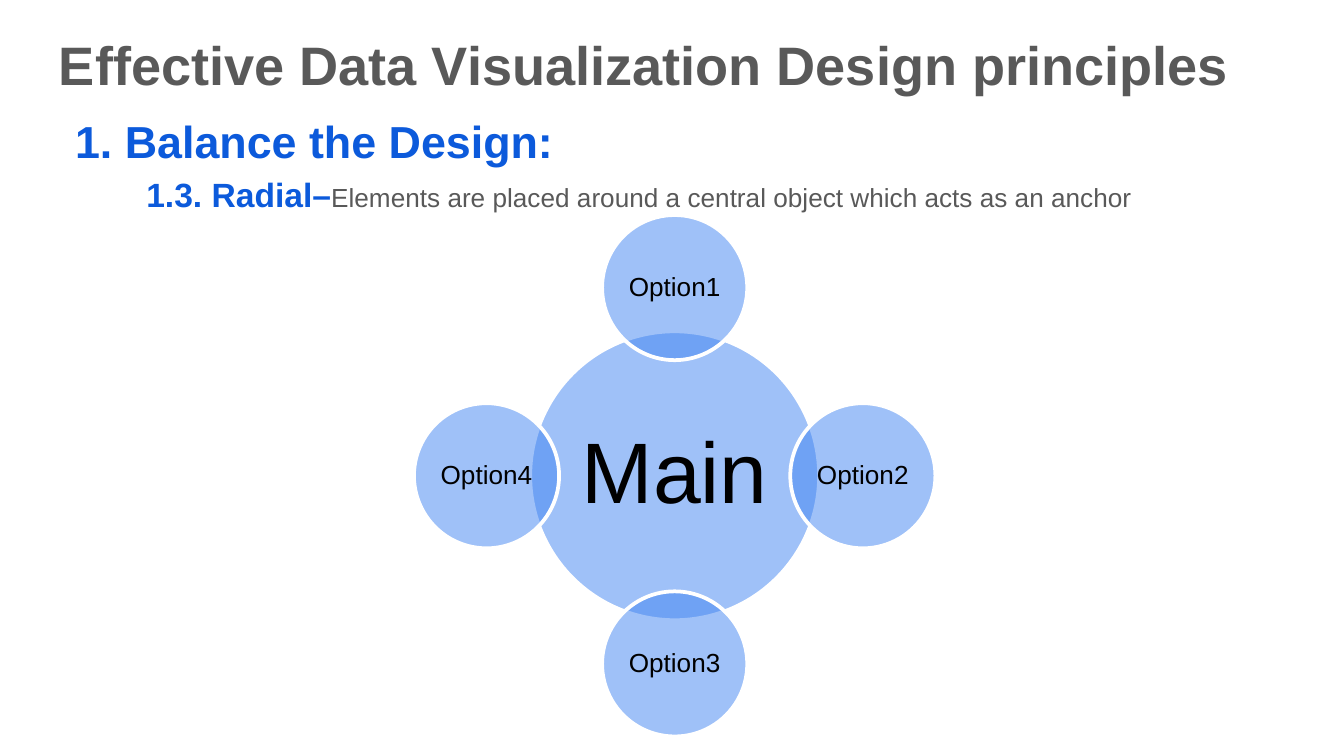
"""Build a slide that explains radial balance with circles around a centre."""
import dataclasses
import math

import pptx
import pptx.dml.color
import pptx.enum.shapes
import pptx.enum.text
import pptx.oxml
import pptx.oxml.ns
import pptx.shapes.group
import pptx.slide
import pptx.util

Inches = pptx.util.Inches
COLORS = {"grey": "595959", "blue": "0C5ADB", "circle": "4185F2", "white": "FFFFFF", "black": "000000"}
SLIDE_WIDTH = 10
SLIDE_HEIGHT = SLIDE_WIDTH * 9 / 16
CENTER_X, CENTER_Y = 5.02, 3.54
ORBIT = 1.4
OPTION_COUNT = 4


@dataclasses.dataclass
class TextRun:
    text: str
    size: float
    color: str
    bold: bool = False


@dataclasses.dataclass
class Line:
    runs: list[TextRun]
    indent: float = 0
    level: int = 0
    format: dict = dataclasses.field(default_factory=lambda: {"line_spacing": 1.15})


@dataclasses.dataclass
class Circle:
    label: str
    x: float
    y: float
    diameter: float
    size: float
    inset: float


def rgb(name: str) -> pptx.dml.color.RGBColor:
    return pptx.dml.color.RGBColor.from_string(COLORS[name])


def write_lines(shape, lines: list[Line], inset: float, anchor) -> None:
    frame = shape.text_frame
    margins = {f"margin_{side}": Inches(inset) for side in ("left", "top", "right", "bottom")}
    for name, value in {"word_wrap": True, "vertical_anchor": anchor, **margins}.items():
        setattr(frame, name, value)
    for index, line in enumerate(lines):
        paragraph = frame.add_paragraph() if index else frame.paragraphs[0]
        for name, value in {"level": line.level, **line.format}.items():
            setattr(paragraph, name, value)
        properties = paragraph._p.get_or_add_pPr()
        properties.set("marL", str(Inches(line.indent)))
        properties.set("indent", "0")
        for item in line.runs:
            run = paragraph.add_run()
            run.text = item.text
            font_format = {"name": "Arial", "size": pptx.util.Pt(item.size), "bold": item.bold}
            for name, value in font_format.items():
                setattr(run.font, name, value)
            run.font.color.rgb = rgb(item.color)


def add_text(slide: pptx.slide.Slide, top: float, height: float, lines: list[Line]) -> None:
    box = slide.shapes.add_textbox(Inches(0.34), Inches(top), Inches(9.32), Inches(height))
    write_lines(box, lines, 0.1, pptx.enum.text.MSO_ANCHOR.TOP)


def add_circle(group: pptx.shapes.group.GroupShape, circle: Circle) -> None:
    radius = circle.diameter / 2
    shape = group.shapes.add_shape(
        pptx.enum.shapes.MSO_SHAPE.OVAL,
        Inches(circle.x - radius), Inches(circle.y - radius),
        Inches(circle.diameter), Inches(circle.diameter),
    )
    shape.shadow.inherit = False
    shape.fill.solid()
    shape.fill.fore_color.rgb = rgb("circle")
    color = shape._element.spPr.find(".//" + pptx.oxml.ns.qn("a:srgbClr"))
    color.append(pptx.oxml.parse_xml(f'<a:alpha {pptx.oxml.ns.nsdecls("a")} val="50000"/>'))
    shape.line.color.rgb = rgb("white")
    shape.line.width = pptx.util.Pt(2)
    label_format = {"alignment": pptx.enum.text.PP_ALIGN.CENTER, "line_spacing": 0.9}
    label = Line([TextRun(circle.label, circle.size, "black")], format=label_format)
    write_lines(shape, [label], circle.inset, pptx.enum.text.MSO_ANCHOR.MIDDLE)


def option_circle(index: int) -> Circle:
    angle = 2 * math.pi * index / OPTION_COUNT
    x = CENTER_X + ORBIT * math.sin(angle)
    y = CENTER_Y - ORBIT * math.cos(angle)
    return Circle(f"Option{index + 1}", x, y, 1.08, 14, 0.02)


def main() -> None:
    presentation = pptx.Presentation()
    presentation.slide_width = Inches(SLIDE_WIDTH)
    presentation.slide_height = Inches(SLIDE_HEIGHT)
    slide = presentation.slides.add_slide(presentation.slide_layouts[6])
    title_format = {"line_spacing": 1.15, "space_after": pptx.util.Pt(12)}
    title = TextRun("Effective Data Visualization Design principles", 29, "grey", True)
    add_text(slide, 0.06, 0.63, [Line([title], format=title_format)])
    explanation = "Elements are placed around a central object which acts as an anchor"
    add_text(slide, 0.69, 3.74, [
        Line([TextRun("1. Balance the Design:", 24, "blue", True)], 0.12),
        Line([TextRun("1.3. Radial–", 18, "blue", True), TextRun(explanation, 14, "grey")], 0.65, 1),
    ])
    radial = slide.shapes.add_group_shape()
    add_circle(radial, Circle("Main", CENTER_X, CENTER_Y, 2.15, 46, 0.06))
    for index in range(OPTION_COUNT):
        add_circle(radial, option_circle(index))
    presentation.save("out.pptx")


main()
